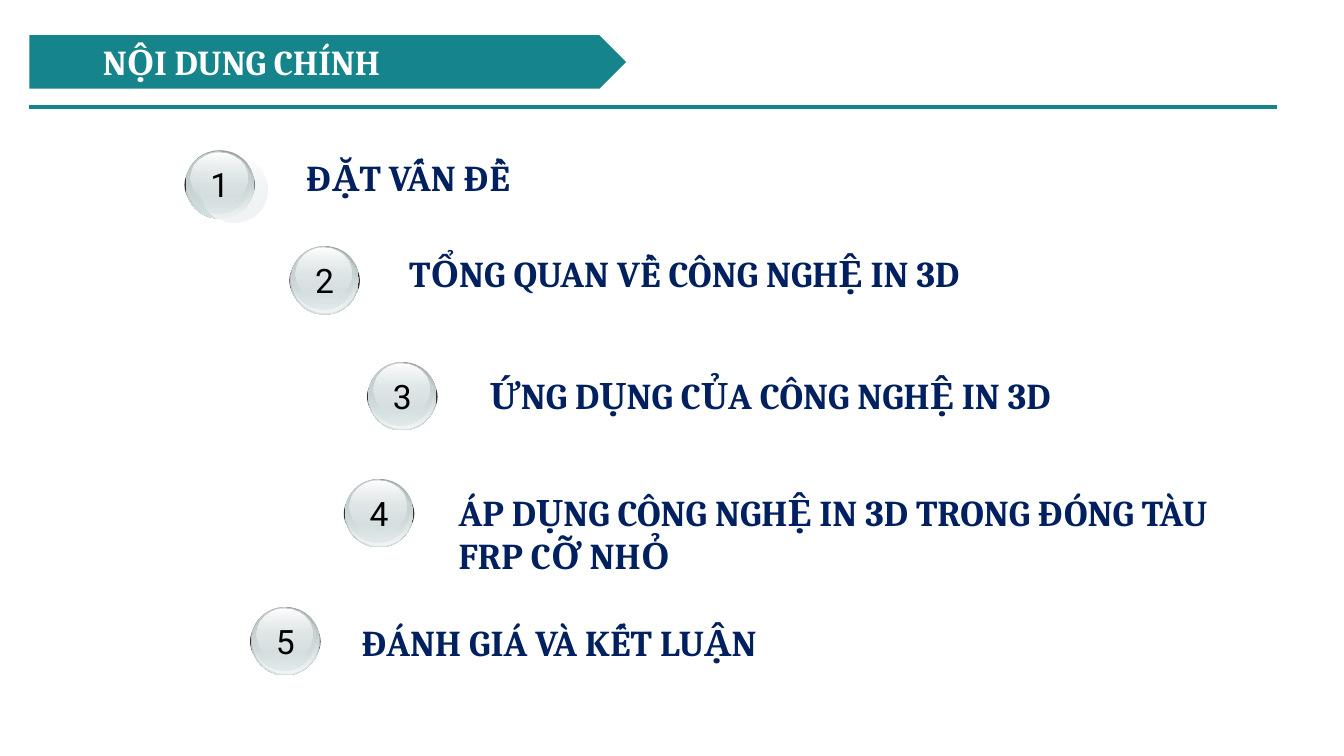
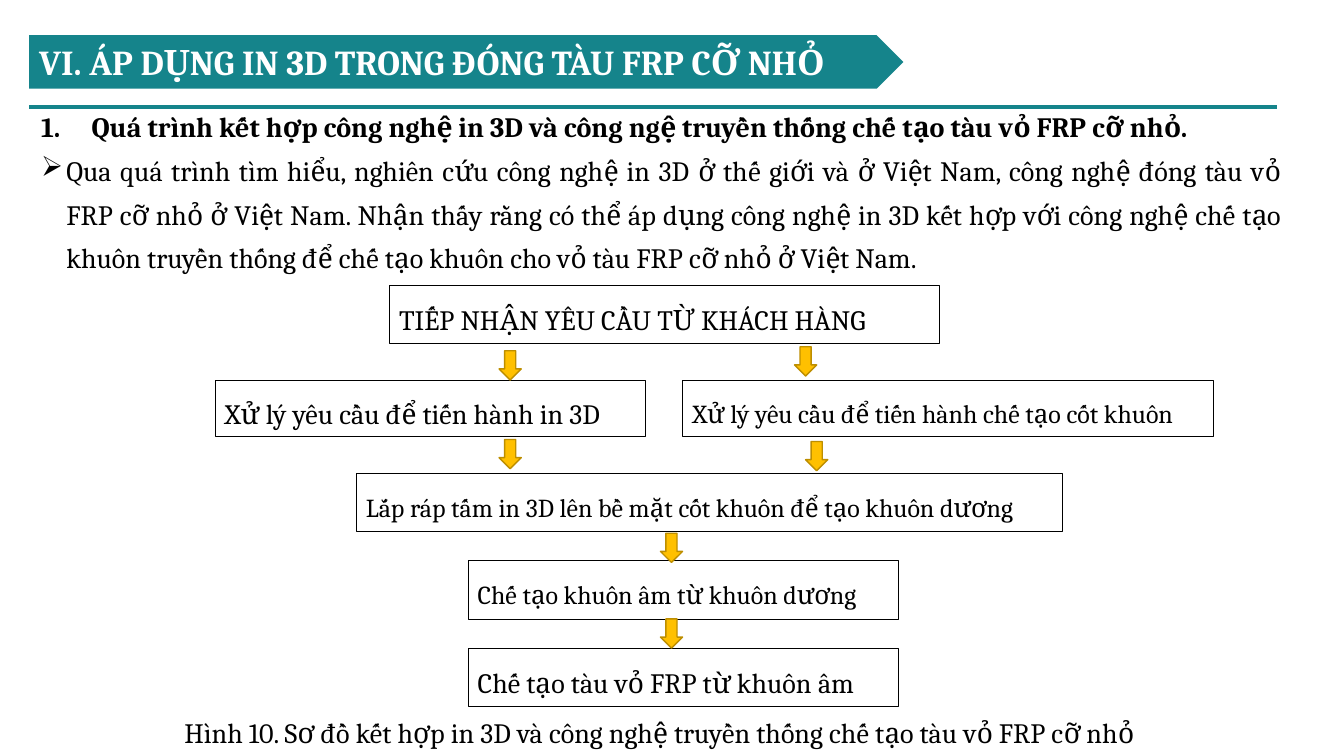
from lxml import etree
from pptx import Presentation
from pptx.dml.color import RGBColor
from pptx.enum.shapes import MSO_CONNECTOR, MSO_SHAPE
from pptx.enum.text import MSO_ANCHOR, PP_ALIGN
from pptx.oxml.ns import qn
from pptx.util import Inches, Pt

OVAL, BOX = MSO_SHAPE.OVAL, MSO_SHAPE.RECTANGLE
BANNER, ARROW = MSO_SHAPE.PENTAGON, MSO_SHAPE.DOWN_ARROW
LEFT, CENTER, JUSTIFY = PP_ALIGN.LEFT, PP_ALIGN.CENTER, PP_ALIGN.JUSTIFY
TOP, MIDDLE = MSO_ANCHOR.TOP, MSO_ANCHOR.MIDDLE

COLORS = {
    "teal": "15848B", "navy": "002060", "white": "FFFFFF", "black": "000000",
    "shade": "333333", "steel": "99A1A2", "silver": "D6E1E2", "mist": "F2F5F5",
    "ash": "C1CBCC", "amber": "FFC000", "bronze": "BD8E00",
}
SERIF, SANS = "Cambria", "Roboto"

# heading, banner width, text inset
AGENDA_HEADING = ("NỘI DUNG CHÍNH", 5.92, 0.73)
PROCESS_HEADING = ("VI. ÁP DỤNG IN 3D TRONG ĐÓNG TÀU FRP CỠ NHỎ", 8.67, 0.1)

# topic, ball left and top, text left, top, width and height
AGENDA = [
    ("ĐẶT VẤN ĐỀ", (1.84, 1.49), (2.94, 1.49, 9.51, 0.54)),
    ("TỔNG QUAN VỀ CÔNG NGHỆ IN 3D", (2.88, 2.44), (3.96, 2.44, 9.23, 0.54)),
    ("ỨNG DỤNG CỦA CÔNG NGHỆ IN 3D", (3.65, 3.59), (4.76, 3.65, 8.07, 0.54)),
    ("ÁP DỤNG CÔNG NGHỆ IN 3D TRONG ĐÓNG TÀU FRP CỠ NHỎ",
     (3.42, 4.75), (4.45, 4.81, 8.07, 0.98)),
    ("ĐÁNH GIÁ VÀ KẾT LUẬN", (2.49, 6.02), (3.49, 6.1, 7.11, 0.54)),
]
# offset and size inside a ball, then (colour, opacity) from top to bottom
BALL_LAYERS = {
    "rim": ((0, 0, 0.68, 0.68), ("steel", 100), ("silver", 100)),
    "glow": ((0.01, 0, 0.66, 0.66), ("silver", 0), ("mist", 100)),
    "body": ((0.01, 0.01, 0.63, 0.62), ("ash", 100), ("silver", 48)),
    "shine": ((0.05, 0.02, 0.56, 0.5), ("white", 100), ("silver", 38)),
}
BALL_SHADE = (-0.01, 0.06, 0.7, 0.57)
BALL_NUMBER = (0.14, 0.09, 0.4, 0.51)
FIRST_GLOW = (0.15, 0.06, 0.66, 0.66)  # the first ball's glow is displaced

# text, bold, hanging indent, line spacing, bullet tag, bullet attributes
INTRO = [
    ("Quá trình kết hợp công nghệ in 3D và công ngệ truyền thống chế tạo tàu vỏ FRP cỡ nhỏ.",
     True, 0.5, 1.0, "a:buAutoNum", {"type": "arabicPeriod"}),
    ("Qua quá trình tìm hiểu, nghiên cứu công nghệ in 3D ở thế giới và ở Việt Nam, "
     "công nghệ đóng tàu vỏ FRP cỡ nhỏ ở Việt Nam. Nhận thấy rằng có thể áp dụng "
     "công nghệ in 3D kết hợp với công nghệ chế tạo khuôn truyền thống để chế tạo "
     "khuôn cho vỏ tàu FRP cỡ nhỏ ở Việt Nam.",
     False, 0.25, 1.3, "a:buChar", {"char": "➢"}),
]
# text, size, left, top, width, height
STEPS = [
    ("TIẾP NHẬN YÊU CẦU TỪ KHÁCH HÀNG", 20, 3.86, 2.83, 5.46, 0.58),
    ("Xử lý yêu cầu để tiến hành in 3D", 20, 2.13, 3.77, 4.27, 0.56),
    ("Xử lý yêu cầu để tiến hành chế tạo cốt khuôn", 18.5, 6.77, 3.77, 5.26, 0.56),
    ("Lắp ráp tấm in 3D lên bề mặt cốt khuôn để tạo khuôn dương",
     18.5, 3.53, 4.69, 7.01, 0.58),
    ("Chế tạo khuôn âm từ khuôn dương", 18.5, 4.64, 5.56, 4.27, 0.58),
    ("Chế tạo tàu vỏ FRP từ khuôn âm", 20, 4.64, 6.43, 4.27, 0.58),
]
ARROW_CORNERS = [(4.95, 3.48), (7.88, 3.44), (4.95, 4.36),
                 (7.99, 4.38), (6.55, 5.29), (6.55, 6.14)]
CAPTION = "Hình 10. Sơ đồ kết hợp in 3D và công nghệ truyền thống chế tạo tàu vỏ FRP cỡ nhỏ"


def rgb(color):
    return RGBColor.from_string(COLORS[color])


def inches(lengths):
    return [Inches(length) for length in lengths]


def add_preset(shapes, preset, frame, fill=None, line=None, line_width=1):
    shape = shapes.add_shape(preset, *inches(frame))
    shape.shadow.inherit = False
    if fill:
        shape.fill.solid()
        shape.fill.fore_color.rgb = rgb(fill)
    else:
        shape.fill.background()
    if line:
        shape.line.color.rgb = rgb(line)
        shape.line.width = Pt(line_width)
    else:
        shape.line.fill.background()
    return shape


def style(paragraph, size, color="black", bold=False, font=SERIF, align=LEFT, spacing=1.0):
    paragraph.alignment = align
    paragraph.line_spacing = spacing
    for run in paragraph.runs:
        run.font.size = Pt(size)
        run.font.name = font
        run.font.bold = bold
        run.font.color.rgb = rgb(color)


def write(shape, text, size, anchor=MIDDLE, wrap=True, **look):
    frame = shape.text_frame
    frame.word_wrap = wrap
    frame.vertical_anchor = anchor
    frame.text = text
    style(frame.paragraphs[0], size, **look)


def add_text(shapes, frame, text, size, **look):
    write(shapes.add_textbox(*inches(frame)), text, size, anchor=TOP, **look)


def add_headed_slide(deck, heading):
    """Add a blank slide with the banner heading and the rule below it."""
    title, width, inset = heading
    slide = deck.slides.add_slide(deck.slide_layouts[6])
    banner = add_preset(slide.shapes, BANNER, (0.29, 0.35, width, 0.53), "teal")
    write(banner, title, 25, color="white", bold=True)
    banner.text_frame.margin_left = Inches(inset)
    rule = slide.shapes.add_connector(
        MSO_CONNECTOR.STRAIGHT, *inches((0.29, 1.06, 12.67, 1.06)))
    rule.line.color.rgb = rgb("teal")
    rule.line.width = Pt(3)
    etree.SubElement(rule._element.spPr, qn("a:effectLst"))
    return slide


def fade_down(shape, *stops):
    """Fill from top to bottom between two (colour, opacity) stops."""
    shape.fill.gradient()
    shape.fill.gradient_angle = 270
    for stop, (color, _) in zip(shape.fill.gradient_stops, stops):
        stop.color.rgb = rgb(color)
    color_nodes = shape._element.spPr.iter(qn("a:srgbClr"))
    for node, (_, opacity) in zip(color_nodes, stops):
        if opacity < 100:
            etree.SubElement(node, qn("a:alpha"), val=str(opacity * 1000))


def add_ball(shapes, number, corner):
    def place(frame):
        dx, dy, width, height = frame
        return corner[0] + dx, corner[1] + dy, width, height

    add_preset(shapes, OVAL, place(BALL_SHADE), "shade")
    for layer, (frame, upper, lower) in BALL_LAYERS.items():
        if layer == "glow" and number == 1:
            frame = FIRST_GLOW
        fade_down(add_preset(shapes, OVAL, place(frame)), upper, lower)
    add_text(shapes, place(BALL_NUMBER), str(number), 24,
             font=SANS, align=CENTER, wrap=False)


def build_agenda(deck):
    slide = add_headed_slide(deck, AGENDA_HEADING)
    for number, (topic, corner, frame) in enumerate(AGENDA, 1):
        entry = slide.shapes.add_group_shape().shapes
        add_ball(entry, number, corner)
        add_text(entry, frame, topic, 26, color="navy", bold=True)


def add_intro(slide):
    frame = slide.shapes.add_textbox(*inches((0.31, 1.04, 12.49, 1.89))).text_frame
    frame.word_wrap = True
    for index, (text, bold, indent, spacing, tag, bullet) in enumerate(INTRO):
        paragraph = frame.add_paragraph() if index else frame.paragraphs[0]
        paragraph.text = text
        properties = paragraph._p.get_or_add_pPr()
        properties.set("marL", str(Inches(indent)))
        properties.set("indent", str(-Inches(indent)))
        etree.SubElement(properties, qn(tag), bullet)
        style(paragraph, 20, bold=bold, align=JUSTIFY, spacing=spacing)


def build_process(deck):
    slide = add_headed_slide(deck, PROCESS_HEADING)
    add_intro(slide)
    for text, size, *frame in STEPS:
        step = add_preset(slide.shapes, BOX, frame, line="black", line_width=0.25)
        write(step, text, size, spacing=1.3)
    for corner in ARROW_CORNERS:
        add_preset(slide.shapes, ARROW, (*corner, 0.22, 0.29), "amber", "bronze")
    add_text(slide.shapes, (1.73, 6.95, 10.08, 0.61), CAPTION, 20,
             align=JUSTIFY, spacing=1.3)


def main():
    deck = Presentation()
    deck.slide_width, deck.slide_height = Inches(13.33), Inches(7.5)
    build_agenda(deck)
    build_process(deck)
    deck.save("out.pptx")


if __name__ == "__main__":
    main()
